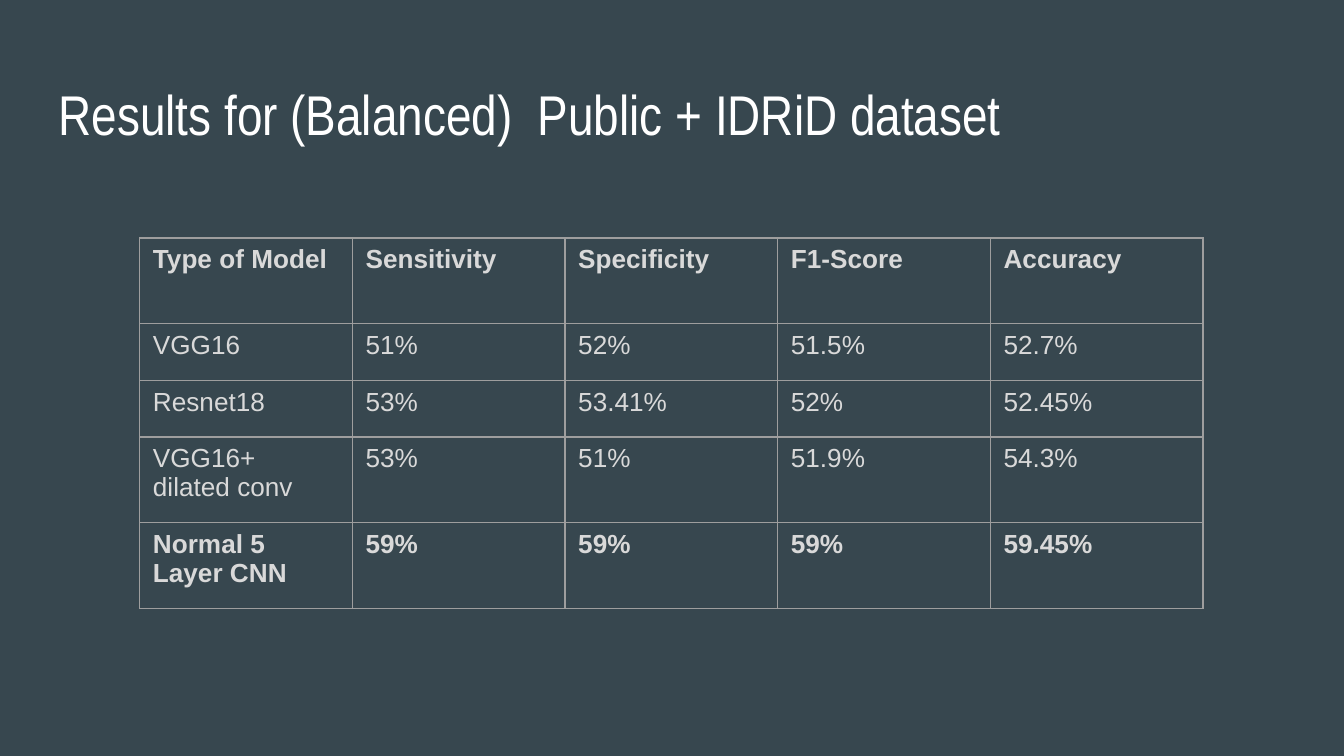
from lxml import etree
from pptx import Presentation
from pptx.dml.color import RGBColor
from pptx.enum import text
from pptx.oxml.ns import qn
from pptx.util import Cm, Pt

SLATE = RGBColor(0x37, 0x47, 0x4F)
WHITE = RGBColor(0xFF, 0xFF, 0xFF)
PALE = RGBColor(0xD9, 0xD9, 0xD9)
GREY = RGBColor(0x9E, 0x9E, 0x9E)

TITLE = "Results for (Balanced)  Public + IDRiD dataset"
ROWS = [
    ("Type of Model", "Sensitivity", "Specificity", "F1-Score", "Accuracy"),
    ("VGG16", "51%", "52%", "51.5%", "52.7%"),
    ("Resnet18", "53%", "53.41%", "52%", "52.45%"),
    ("VGG16+ dilated conv", "53%", "51%", "51.9%", "54.3%"),
    ("Normal 5 Layer CNN", "59%", "59%", "59%", "59.45%"),
]
BOLD = {0, len(ROWS) - 1}  # header and best model
TALL, SHORT = 1.62, 1.07
HEIGHTS = (TALL, SHORT, SHORT, TALL, TALL)
WIDTH = 4.02


def style(para, font, size, color, bold=False):
    for run in para.runs:
        run.font.name = font
        run.font.size = Pt(size)
        run.font.color.rgb = color
        run.font.bold = bold


def set_title(slide):
    title = slide.shapes.title
    title.left, title.top = Cm(0.86), Cm(1.25)
    title.width, title.height = Cm(23.68), Cm(1.6)
    frame = title.text_frame
    frame.text = TITLE
    frame.word_wrap = True
    frame.auto_size = text.MSO_AUTO_SIZE.NONE
    frame.vertical_anchor = text.MSO_ANCHOR.TOP
    frame.margin_left = frame.margin_right = Cm(0.25)
    frame.margin_top = frame.margin_bottom = Cm(0.25)
    para = frame.paragraphs[0]
    para.alignment = text.PP_ALIGN.LEFT
    style(para, "Arial Narrow", 30, WHITE)


def add_edges(cell):
    props = cell._tc.get_or_add_tcPr()
    for side in ("lnL", "lnR", "lnT", "lnB"):
        line = etree.SubElement(props, qn(f"a:{side}"), w=str(Pt(0.75)))
        fill = etree.SubElement(line, qn("a:solidFill"))
        etree.SubElement(fill, qn("a:srgbClr"), val=str(GREY))


def fill_cell(cell, words, bold):
    cell.text_frame.text = words
    cell.margin_left = cell.margin_right = Cm(0.25)
    cell.margin_top = cell.margin_bottom = Cm(0.13)
    style(cell.text_frame.paragraphs[0], "Arial", 14, PALE, bold)
    add_edges(cell)
    cell.fill.background()


def add_scores(slide):
    count = len(ROWS[0])
    frame = slide.shapes.add_table(len(ROWS), count, Cm(2.64), Cm(4.5),
                                   Cm(WIDTH * count), Cm(sum(HEIGHTS)))
    table = frame.table
    table.first_row = table.horz_banding = False
    for col in table.columns:
        col.width = Cm(WIDTH)
    for r, (words, height) in enumerate(zip(ROWS, HEIGHTS)):
        table.rows[r].height = Cm(height)
        for c, word in enumerate(words):
            fill_cell(table.cell(r, c), word, r in BOLD)


def main():
    deck = Presentation()
    deck.slide_width, deck.slide_height = Cm(25.4), Cm(14.29)
    slide = deck.slides.add_slide(deck.slide_layouts[5])  # title only

    # Background
    slide.background.fill.solid()
    slide.background.fill.fore_color.rgb = SLATE

    # Title and results
    set_title(slide)
    add_scores(slide)
    deck.save("out.pptx")


if __name__ == "__main__":
    main()
